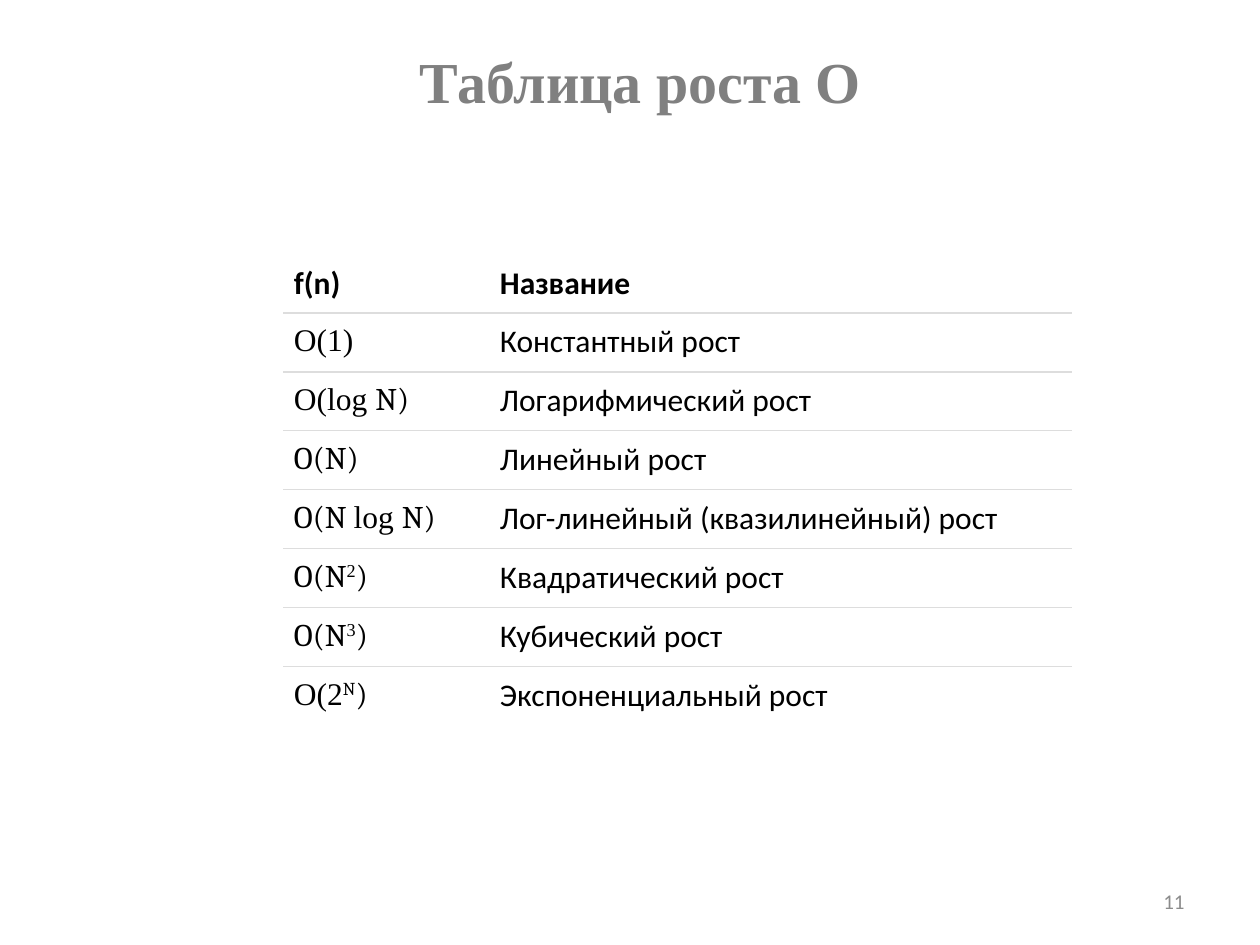
import pptx
import pptx.dml.color
import pptx.enum.text
import pptx.oxml
import pptx.oxml.ns
import pptx.util

PX = 914400 // 126
ALIGN = pptx.enum.text.PP_ALIGN
ANCHOR = pptx.enum.text.MSO_ANCHOR
SERIF, MATH, SANS = "Times New Roman", "Cambria", "Calibri"
BORDER = "DDDDDD"


def color(value):
    return pptx.dml.color.RGBColor.from_string(value)


def add_run(paragraph, text, font, size, fill, bold=False, raised=False):
    run = paragraph.add_run()
    run.text = text
    run.font.name = font
    run.font.size = pptx.util.Pt(size)
    run.font.bold = bold
    run.font.color.rgb = color(fill)
    if raised:
        run.font._element.set("baseline", "30000")


deck = pptx.Presentation()
deck.slide_width = pptx.util.Inches(10)
deck.slide_height = pptx.util.Inches(7.5)
slide = deck.slides.add_slide(deck.slide_layouts[5])

title = slide.shapes.title
title.left, title.top, title.width, title.height = [v * PX for v in (126, 53, 1029, 73)]
title.text_frame.auto_size = pptx.enum.text.MSO_AUTO_SIZE.NONE
title.text_frame.vertical_anchor = ANCHOR.TOP
heading = title.text_frame.paragraphs[0]
heading.alignment = ALIGN.CENTER
heading.line_spacing = 0.8
heading.space_before = pptx.util.Pt(4)
add_run(heading, "Таблица роста О", SERIF, 33.1, "808080", bold=True)

page_number = slide.shapes.add_textbox(*[v * PX for v in (903, 876, 294, 50)])
page_number.text_frame.word_wrap = True
page_number.text_frame.vertical_anchor = ANCHOR.MIDDLE
page_line = page_number.text_frame.paragraphs[0]
page_line.alignment = ALIGN.RIGHT
add_run(page_line, "11", SANS, 12, "8C8C8C")

growth_rows = [
    ([("f(n)", SANS)], "Название"),
    ([("О(1)", SERIF)], "Константный рост"),
    ([("O(log ", SERIF), ("N)", MATH)], "Логарифмический рост"),
    ([("O(N)", MATH)], "Линейный рост"),
    ([("O(N ", MATH), ("log ", SERIF), ("N)", MATH)], "Лог-линейный (квазилинейный) рост"),
    ([("O(N", MATH), ("2", SERIF, True), (")", MATH)], "Квадратический рост"),
    ([("O(N", MATH), ("3", SERIF, True), (")", MATH)], "Кубический рост"),
    ([("O(2", SERIF), ("N", MATH, True), (")", MATH)], "Экспоненциальный рост"),
]
row_height = 59
last = len(growth_rows) - 1
growth = slide.shapes.add_table(
    len(growth_rows), 2, 284 * PX, 254 * PX, 787 * PX, row_height * len(growth_rows) * PX
).table
growth.first_row = False
growth.horz_banding = False
for column, width in zip(growth.columns, (206, 581)):
    column.width = width * PX

for row, (formula, label) in enumerate(growth_rows):
    growth.rows[row].height = row_height * PX
    for column, pieces in enumerate((formula, [(label, SANS)])):
        cell = growth.cell(row, column)
        cell.margin_left = cell.margin_right = 10 * PX
        cell.margin_top = cell.margin_bottom = 10 * PX
        cell.vertical_anchor = ANCHOR.BOTTOM if row == 0 else ANCHOR.TOP
        cell.fill.background()
        edges = [tag for tag, inner in (("lnT", row > 0), ("lnB", row < last)) if inner]
        for position, tag in enumerate(edges):
            edge = pptx.oxml.parse_xml(
                f'<a:{tag} {pptx.oxml.ns.nsdecls("a")} w="9525"><a:solidFill>'
                f'<a:srgbClr val="{BORDER}"/></a:solidFill></a:{tag}>'
            )
            cell._tc.get_or_add_tcPr().insert(position, edge)
        for text, font, *raised in pieces:
            add_run(cell.text_frame.paragraphs[0], text, font, 18, "000000",
                    bold=row == 0, raised=bool(raised))

deck.save("out.pptx")
